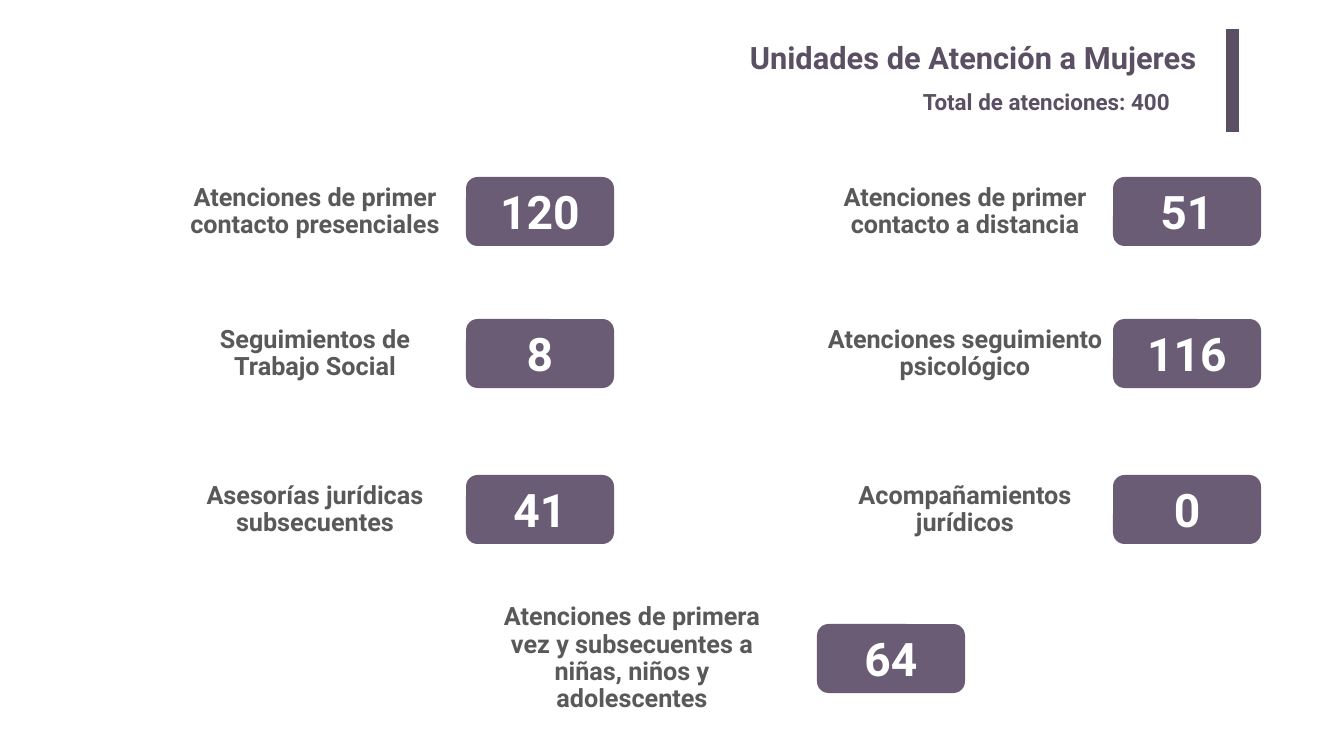
from dataclasses import dataclass

from pptx import Presentation
from pptx.dml.color import RGBColor
from pptx.enum.shapes import MSO_SHAPE
from pptx.enum.text import MSO_ANCHOR, MSO_AUTO_SIZE, PP_ALIGN
from pptx.util import Emu, Inches, Pt

EMU_PER_PX = 914400 / 50.4


@dataclass(frozen=True)
class Theme:
    font: str = "Roboto"
    heading: str = "5B4F63"
    badge: str = "6A5C74"
    label: str = "595959"
    figure: str = "FFFFFF"
    title_size: int = 44
    total_size: int = 32
    label_size: int = 36
    figure_size: int = 66


THEME = Theme()
BADGE_WIDTH, BADGE_HEIGHT = 148, 69
ROW_TOPS = (177, 319, 475)
COLUMNS = (
    (315, 276, 466, (
        ("Atenciones de primer contacto presenciales", "120"),
        ("Seguimientos de Trabajo Social", "8"),
        ("Asesorías jurídicas subsecuentes", "41"),
    )),
    (965, 300, 1113, (
        ("Atenciones de primer contacto a distancia", "51"),
        ("Atenciones seguimiento psicológico", "116"),
        ("Acompañamientos jurídicos", "0"),
    )),
)


def px(length):
    return Emu(round(length * EMU_PER_PX))


def box(*lengths):
    return [px(length) for length in lengths]


def write(shape, text, size, color, align, anchor=MSO_ANCHOR.MIDDLE,
          inset=0.1, spacing=1.0):
    frame = shape.text_frame
    frame.word_wrap = True
    frame.auto_size = MSO_AUTO_SIZE.NONE
    frame.vertical_anchor = anchor
    frame.margin_left = frame.margin_right = Inches(inset)
    frame.margin_top = frame.margin_bottom = Inches(inset / 2)
    frame.text = text
    paragraph = frame.paragraphs[0]
    paragraph.alignment = align
    paragraph.line_spacing = spacing
    paragraph.font.name = THEME.font
    paragraph.font.size = Pt(size)
    paragraph.font.bold = True
    paragraph.font.color.rgb = RGBColor.from_string(color)


def add_block(slide, preset, color, *place):
    block = slide.shapes.add_shape(preset, *box(*place))
    block.shadow.inherit = False
    block.fill.solid()
    block.fill.fore_color.rgb = RGBColor.from_string(color)
    block.line.fill.background()
    return block


def add_heading(slide):
    title = slide.shapes.title
    title.left, title.top, title.width, title.height = box(184, 34, 1023, 51)
    write(title, "Unidades de Atención a Mujeres", THEME.title_size,
          THEME.heading, PP_ALIGN.RIGHT, MSO_ANCHOR.TOP, inset=0.2)
    add_block(slide, MSO_SHAPE.RECTANGLE, THEME.heading, 1226, 29, 13, 103)
    total = slide.shapes.add_textbox(*box(918, 86, 298, 32))
    write(total, "Total de atenciones: 400", THEME.total_size,
          THEME.heading, PP_ALIGN.LEFT, MSO_ANCHOR.TOP)


def add_indicator(slide, name, figure, center, width, badge_left, top):
    label = slide.shapes.add_textbox(
        *box(center - width / 2, top, width, BADGE_HEIGHT))
    write(label, name, THEME.label_size, THEME.label, PP_ALIGN.CENTER,
          spacing=0.9)
    badge = add_block(slide, MSO_SHAPE.ROUNDED_RECTANGLE, THEME.badge,
                      badge_left, top, BADGE_WIDTH, BADGE_HEIGHT)
    write(badge, figure, THEME.figure_size, THEME.figure, PP_ALIGN.CENTER)


def main():
    deck = Presentation()
    deck.slide_width, deck.slide_height = box(1344, 756)
    slide = deck.slides.add_slide(deck.slide_layouts[5])
    add_heading(slide)
    for center, width, badge_left, indicators in COLUMNS:
        for top, (name, figure) in zip(ROW_TOPS, indicators):
            add_indicator(slide, name, figure, center, width, badge_left, top)
    add_indicator(
        slide,
        "Atenciones de primera vez y subsecuentes a niñas, niños y adolescentes",
        "64", 632, 302, 817, 624)
    deck.save("out.pptx")


if __name__ == "__main__":
    main()
